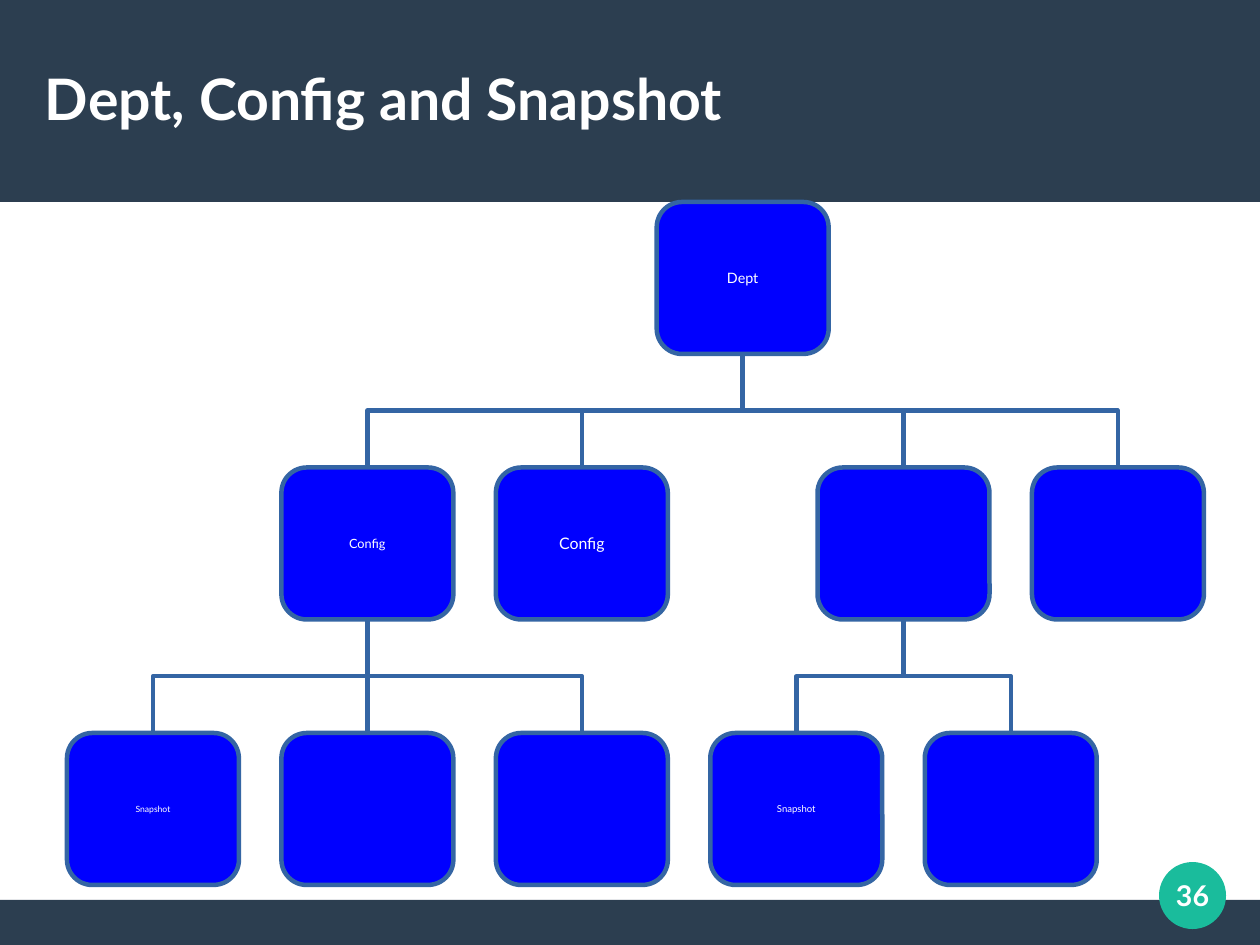
from dataclasses import dataclass

from lxml import etree
from pptx import Presentation
from pptx import util as u
from pptx.dml.color import RGBColor
from pptx.enum import shapes, text
from pptx.oxml.ns import qn

PX = 8000  # EMU in one px
SLIDE_W, SLIDE_H = 1260, 945  # 28 by 21 cm


@dataclass(frozen=True)
class Theme:
    font: str = "Lato"
    band: str = "2C3E50"
    badge: str = "1ABC9C"
    node: str = "0000FF"
    edge: str = "3465A4"
    ink: str = "FFFFFF"
    edge_pt: float = 2.83
    title_pt: float = 36
    number_pt: float = 18


@dataclass(frozen=True)
class Node:
    column: float
    label: str = ""
    label_pt: float = 0
    children: tuple = ()


THEME = Theme()

# Columns count from the leftmost snapshot
DEPT = Node(2.75, "Dept", 9, (
    Node(1, "Config", 8, (
        Node(0, "Snapshot", 5.4),
        Node(1),
        Node(2),
    )),
    Node(2, "Config", 10),
    Node(3.5, children=(
        Node(3, "Snapshot", 6),
        Node(4),
    )),
    Node(4.5),
))


def emu(*lengths):
    return [u.Emu(round(length * PX)) for length in lengths]


def write(shape, words, size, align, bold=False, insets=(0, 0)):
    frame = shape.text_frame
    frame.word_wrap = True
    frame.vertical_anchor = text.MSO_ANCHOR.MIDDLE
    frame.margin_left = frame.margin_right = emu(insets[0])[0]
    frame.margin_top = frame.margin_bottom = emu(insets[1])[0]
    paragraph = frame.paragraphs[0]
    paragraph.text = words
    paragraph.alignment = align
    paragraph.font.name = THEME.font
    paragraph.font.size = u.Pt(size)
    paragraph.font.bold = bold
    paragraph.font.color.rgb = RGBColor.from_string(THEME.ink)


def draw_shape(slide, preset, box, fill, outline=None):
    shape = slide.shapes.add_shape(preset, *emu(*box))
    shape.shadow.inherit = False
    shape.fill.solid()
    shape.fill.fore_color.rgb = RGBColor.from_string(fill)
    if outline:
        shape.line.color.rgb = RGBColor.from_string(outline)
        shape.line.width = u.Pt(THEME.edge_pt)
    else:
        shape.line.fill.background()
    return shape


def draw_header(slide, box, words):
    left, top, width, height = box
    draw_shape(slide, shapes.MSO_SHAPE.RECTANGLE, box, THEME.band)
    title = slide.shapes.add_textbox(
        *emu(left + 45, top + 38, width - 90, height - 82))
    write(title, words, THEME.title_pt, text.PP_ALIGN.LEFT, bold=True)


def draw_footer(slide, box, number):
    left, top, width, height = box
    draw_shape(slide, shapes.MSO_SHAPE.RECTANGLE, box, THEME.band)
    badge = draw_shape(slide, shapes.MSO_SHAPE.OVAL,
                       (left + width - 101, top - 38, 67, 67), THEME.badge)
    write(badge, number, THEME.number_pt, text.PP_ALIGN.CENTER, bold=True)


def draw_branch(slide, parent, child):
    x1, y1 = parent.left + parent.width // 2, parent.top + parent.height
    x2, y2 = child.left + child.width // 2, child.top
    straight = x1 == x2
    kind = shapes.MSO_CONNECTOR.STRAIGHT if straight else shapes.MSO_CONNECTOR.ELBOW
    branch = slide.shapes.add_connector(kind, x1, y1, x2, y2)
    branch.begin_connect(parent, 2)
    branch.end_connect(child, 0)
    branch.line.color.rgb = RGBColor.from_string(THEME.edge)
    branch.line.width = u.Pt(THEME.edge_pt)
    properties = branch.element.spPr
    etree.SubElement(properties, qn("a:effectLst"))
    if straight:
        return
    # Turn the elbow so that it leaves downwards
    drop, spread = y2 - y1, abs(x2 - x1)
    branch.left, branch.top = (x1 + x2 - drop) // 2, (y1 + y2 - spread) // 2
    branch.width, branch.height = drop, spread
    turn = properties.find(qn("a:xfrm"))
    turn.attrib.pop("flipH", None)
    if x2 < x1:
        turn.set("rot", "5400000")
    else:
        turn.set("rot", "16200000")
        turn.set("flipH", "1")


def draw_tree(slide, box, node, level=0):
    left, top, width, height = box
    node_w, node_h = 172, 152
    column_step = (width - node_w) / 4.5
    row_step = (height - node_h) / 2
    card = draw_shape(
        slide, shapes.MSO_SHAPE.ROUNDED_RECTANGLE,
        (left + node.column * column_step, top + level * row_step, node_w, node_h),
        THEME.node, THEME.edge)
    if node.label:
        write(card, node.label, node.label_pt, text.PP_ALIGN.CENTER, insets=(14, 8))
    for child in node.children:
        child_card = draw_tree(slide, box, child, level + 1)
        draw_branch(slide, card, child_card)
    return card


def main():
    deck = Presentation()
    deck.slide_width, deck.slide_height = emu(SLIDE_W, SLIDE_H)
    slide = deck.slides.add_slide(deck.slide_layouts[6])
    draw_header(slide, (0, 0, SLIDE_W, 202), "Dept, Config and Snapshot")
    draw_footer(slide, (0, 900, SLIDE_W, 45), "36")
    draw_tree(slide, (67, 202, 1137, 683), DEPT)
    deck.save("out.pptx")


if __name__ == "__main__":
    main()
